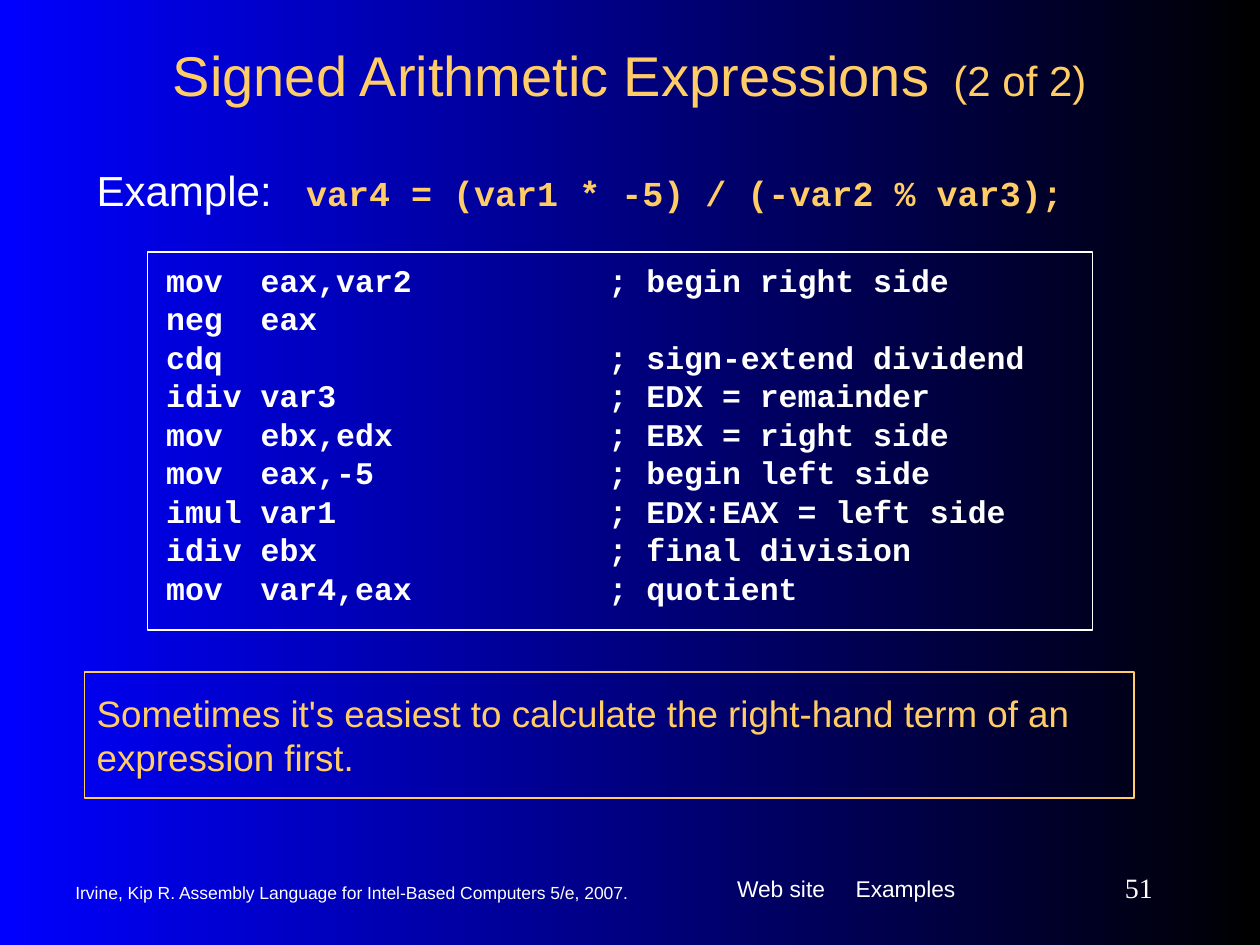
from dataclasses import dataclass

from lxml.etree import SubElement
from pptx import Presentation
from pptx.dml.color import RGBColor as Color
from pptx.enum.shapes import MSO_SHAPE as Shape
from pptx.enum.text import MSO_ANCHOR as Anchor, PP_ALIGN as Align
from pptx.oxml.ns import qn
from pptx.util import Cm, Pt


@dataclass(frozen=True)
class Theme:
    white: str = "FFFFFF"
    gold: str = "FFCC66"
    gradient: tuple = ("0000FF", "000000")
    sans: str = "Arial"
    mono: str = "Courier New"
    serif: str = "Times New Roman"
    title: int = 32
    lead: int = 24
    note: int = 21
    formula: int = 20
    code: int = 18
    number: int = 16
    link: int = 13
    citation: int = 10
    line: float = 0.75


THEME = Theme()
TITLE_STYLE = (THEME.sans, THEME.title, THEME.gold, False)
PART_STYLE = (THEME.sans, THEME.lead, THEME.gold, False)
LEAD_STYLE = (THEME.sans, THEME.lead, THEME.white, False)
FORMULA_STYLE = (THEME.mono, THEME.formula, THEME.gold, True)
CODE_STYLE = (THEME.mono, THEME.code, THEME.white, True)
NOTE_STYLE = (THEME.sans, THEME.note, THEME.gold, False)
LINK_STYLE = (THEME.sans, THEME.link, THEME.white, False)
CITATION_STYLE = (THEME.sans, THEME.citation, THEME.white, False)
NUMBER_STYLE = (THEME.serif, THEME.number, THEME.white, False)

CODE = [
    "mov  eax,var2\t; begin right side",
    "neg  eax",
    "cdq \t; sign-extend dividend",
    "idiv var3 \t; EDX = remainder",
    "mov  ebx,edx \t; EBX = right side",
    "mov  eax,-5 \t; begin left side",
    "imul var1 \t; EDX:EAX = left side",
    "idiv ebx \t; final division",
    "mov  var4,eax \t; quotient",
]

BOXES = [
    dict(area=(14.61, 17.35, 5.72, 1.32), inset=(0.25, 0.38), tab=2.39,
         paragraphs=[[("Web site\tExamples", LINK_STYLE)]]),
    dict(area=(1.27, 17.58, 12.27, 0.84), anchor=Anchor.MIDDLE,
         paragraphs=[[("Irvine, Kip R. Assembly Language for Intel-Based Computers 5/e, 2007.",
                       CITATION_STYLE)]]),
    dict(area=(20.75, 17.35, 2.74, 1.07), anchor=Anchor.MIDDLE, align=Align.RIGHT,
         paragraphs=[[("51", NUMBER_STYLE)]]),
    dict(area=(1.48, 0.64, 22.43, 1.7), anchor=Anchor.MIDDLE, align=Align.CENTER,
         paragraphs=[[("Signed Arithmetic Expressions", TITLE_STYLE),
                      ("  (2 of 2)", PART_STYLE)]]),
    dict(area=(1.7, 3.18, 20.96, 1.47), tab=4.22,
         paragraphs=[[("Example:\t", LEAD_STYLE),
                      ("var4 = (var1 * -5) / (-var2 % var3);", FORMULA_STYLE)]]),
    dict(area=(2.97, 5.08, 19.05, 7.62), inset=(0.38, 0.51), border=THEME.white,
         tab=8.92, line_spacing=0.5, gap=11.2,
         paragraphs=[[(line, CODE_STYLE)] for line in CODE]),
    dict(area=(1.7, 13.55, 21.16, 2.54), inset=(0.25, 0.38), border=THEME.gold,
         paragraphs=[[("Sometimes it's easiest to calculate the right-hand term of an "
                       "expression first.", NOTE_STYLE)]]),
]


def add_tab(paragraph, position):
    tabs = SubElement(paragraph._p.get_or_add_pPr(), qn("a:tabLst"))
    SubElement(tabs, qn("a:tab"), pos=str(Cm(position)), algn="l")


def add_run(paragraph, text, style):
    run = paragraph.add_run()
    run.text = text
    font = run.font
    font.name, size, color, font.bold = style
    font.size = Pt(size)
    font.color.rgb = Color.from_string(color)


def add_box(slide, area, paragraphs, inset=(0.25, 0.13), anchor=Anchor.TOP,
            align=Align.LEFT, border=None, tab=None, line_spacing=None, gap=0):
    position = [Cm(value) for value in area]
    if border:
        shape = slide.shapes.add_shape(Shape.RECTANGLE, *position)
        shape.shadow.inherit = False
        shape.fill.background()
        shape.line.color.rgb = Color.from_string(border)
        shape.line.width = Pt(THEME.line)
    else:
        shape = slide.shapes.add_textbox(*position)
    frame = shape.text_frame
    frame.word_wrap = True
    frame.vertical_anchor = anchor
    frame.margin_left = frame.margin_right = Cm(inset[0])
    frame.margin_top = frame.margin_bottom = Cm(inset[1])
    for index, runs in enumerate(paragraphs):
        paragraph = frame.add_paragraph() if index else frame.paragraphs[0]
        if tab:
            add_tab(paragraph, tab)
        paragraph.alignment = align
        if line_spacing:
            paragraph.line_spacing = line_spacing
        if index:
            paragraph.space_before = Pt(gap)
        for text, style in runs:
            add_run(paragraph, text, style)


def main():
    """Build the signed arithmetic expressions slide."""
    presentation = Presentation()
    presentation.slide_width, presentation.slide_height = Cm(25.4), Cm(19.05)
    slide = presentation.slides.add_slide(presentation.slide_layouts[6])
    fill = slide.background.fill
    fill.gradient()
    fill.gradient_angle = 0
    for stop, color in zip(fill.gradient_stops, THEME.gradient):
        stop.color.rgb = Color.from_string(color)
    for box in BOXES:
        add_box(slide, **box)
    presentation.save("out.pptx")


if __name__ == "__main__":
    main()
